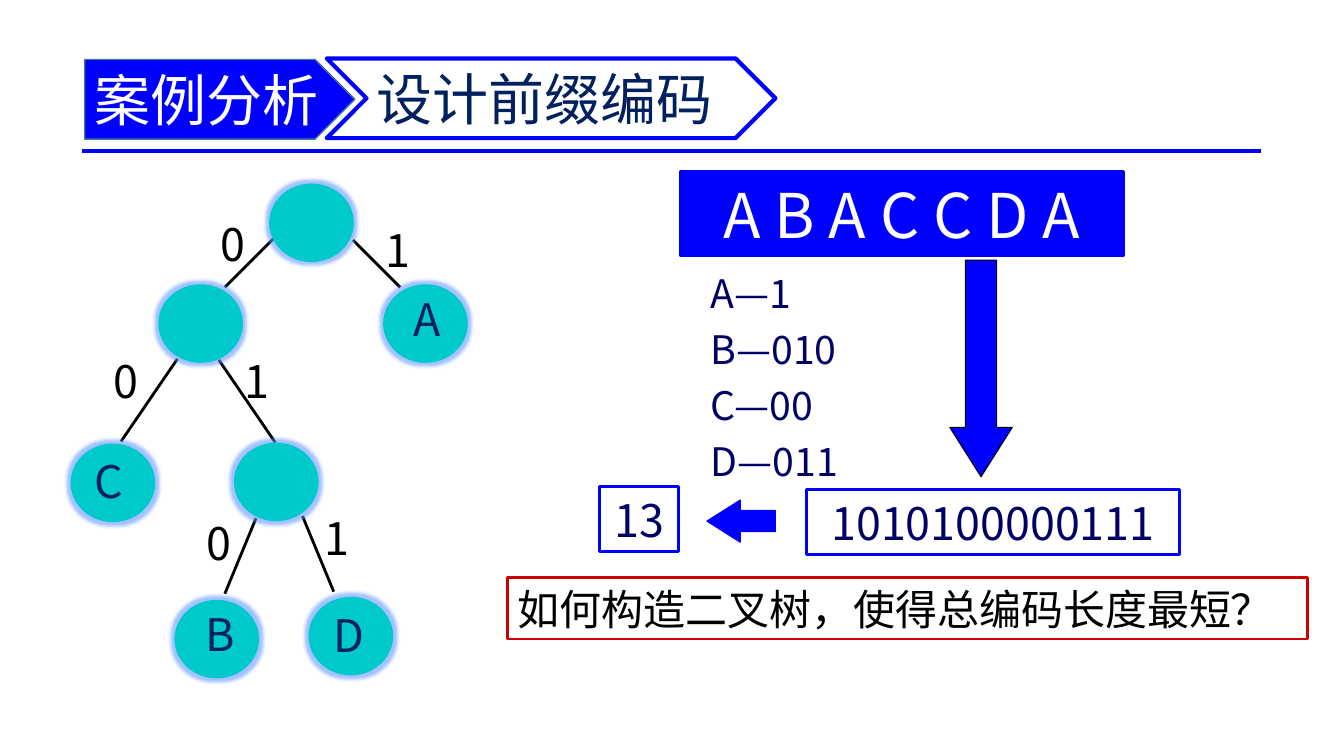
from lxml import etree
from pptx import Presentation
from pptx.dml.color import RGBColor
from pptx.enum.shapes import MSO_CONNECTOR, MSO_SHAPE
from pptx.enum.text import MSO_ANCHOR, PP_ALIGN
from pptx.oxml.ns import qn
from pptx.util import Inches, Pt

STRAIGHT = MSO_CONNECTOR.STRAIGHT
RECTANGLE, OVAL = MSO_SHAPE.RECTANGLE, MSO_SHAPE.OVAL
PENTAGON, CHEVRON = MSO_SHAPE.PENTAGON, MSO_SHAPE.CHEVRON
DOWN_ARROW = MSO_SHAPE.DOWN_ARROW
LEFT, CENTER = PP_ALIGN.LEFT, PP_ALIGN.CENTER
TOP, MIDDLE = MSO_ANCHOR.TOP, MSO_ANCHOR.MIDDLE

BLUE = RGBColor(0x00, 0x00, 0xFF)
NAVY = RGBColor(0x00, 0x20, 0x60)
INDIGO = RGBColor(0x00, 0x00, 0x66)
TEAL = RGBColor(0x00, 0xC9, 0xCB)
STEEL = RGBColor(0x43, 0x73, 0x9E)
RED = RGBColor(0xCC, 0x00, 0x00)
BLACK = RGBColor(0x00, 0x00, 0x00)
WHITE = RGBColor(0xFF, 0xFF, 0xFF)
GLOW = "6699FF"

FONT = "Noto Sans CJK SC"
CELL = Inches(0.1)  # grid of 133.3 columns and 75 rows
NODE_WIDTH, NODE_HEIGHT = 8.4, 7.8
LINE_HEIGHT = 6.4

# Left and top of each node
NODES = [(26.7, 18.2), (15.7, 28.2), (38, 28.2), (7, 44),
         (23.2, 43.9), (30.6, 59.2), (17.3, 59.5)]
# Letter, left, top, width, alignment
LETTERS = [("A", 38.4, 28.4, 8, CENTER), ("C", 8.4, 44.5, 9.4, LEFT),
           ("D", 32.1, 59.8, 9.4, LEFT), ("B", 19.4, 59.7, 9.4, LEFT)]
# Start, end, bit, left and top of the bit
BRANCHES = [
    ((27.1, 23.7), (22.3, 28.5), "0", (20.9, 21)),
    ((35, 23.8), (39.7, 28.5), "1", (37.2, 21.6)),
    ((17.6, 35.6), (12, 43.8), "0", (10.3, 34.6)),
    ((21.7, 35.7), (27.3, 43.9), "1", (23.3, 34.6)),
    ((25.4, 51.4), (22.3, 58.9), "0", (19.5, 50.6)),
    ((30, 51.2), (33.1, 58.7), "1", (31.2, 50.1)),
]


def grid(*lengths):
    return [round(length * CELL) for length in lengths]


def write(box, lines, size, color, align=LEFT, anchor=MIDDLE, spacing=None):
    frame = box.text_frame
    frame.word_wrap = True
    frame.vertical_anchor = anchor
    frame.margin_left, frame.margin_right = Inches(0.1), 0
    frame.margin_top = frame.margin_bottom = Inches(0.05) if anchor == TOP else 0
    if align == CENTER:
        frame.margin_right = Inches(0.1)
    frame.text = "\n".join(lines)
    for para in frame.paragraphs:
        para.alignment = align
        para.line_spacing = spacing
        for span in para.runs:
            font = span.font
            font.size, font.name, font.color.rgb = Pt(size), FONT, color
            east_asian = etree.SubElement(font._element, qn("a:ea"))
            east_asian.set("typeface", FONT)


def add_label(page, area, lines, size, color, **layout):
    write(page.shapes.add_textbox(*grid(*area)), lines, size, color, **layout)


def add_figure(page, kind, area, fill=None, line=None, weight=0):
    figure = page.shapes.add_shape(kind, *grid(*area))
    figure.shadow.inherit = False
    if fill is None:
        figure.fill.background()
    else:
        figure.fill.solid()
        figure.fill.fore_color.rgb = fill
    if line is None:
        figure.line.fill.background()
    else:
        figure.line.color.rgb = line
        figure.line.width = Pt(weight)
    return figure


def add_line(page, start, end, color, weight):
    line = page.shapes.add_connector(STRAIGHT, *grid(*start, *end))
    line.line.color.rgb = color
    line.line.width = Pt(weight)
    etree.SubElement(line._element.spPr, qn("a:effectLst"))


def add_arrow(page, area, line, rotation=0):
    arrow = add_figure(page, DOWN_ARROW, area, BLUE, line, 0.75)
    arrow.adjustments[0], arrow.adjustments[1] = 0.5, 0.79
    arrow.rotation = rotation


def add_node(page, left, top):
    node = add_figure(page, OVAL, (left, top, NODE_WIDTH, NODE_HEIGHT), TEAL)
    effects = node._element.spPr.find(qn("a:effectLst"))
    glow = etree.SubElement(effects, qn("a:glow"), rad=str(Pt(5)))
    color = etree.SubElement(glow, qn("a:srgbClr"), val=GLOW)
    etree.SubElement(color, qn("a:alpha"), val="60000")


def add_heading(page):
    add_line(page, (8.1, 15), (125.1, 15), BLUE, 3)
    tag = add_figure(page, PENTAGON, (8.4, 5.9, 26.8, 7.9), BLUE, STEEL, 1)
    write(tag, ["案例分析"], 40, WHITE)
    title = add_figure(page, CHEVRON, (32.4, 5.8, 44.5, 7.9), WHITE, BLUE, 3)
    write(title, ["设计前缀编码"], 40, NAVY)


def add_tree(page):
    for start, end, bit, corner in BRANCHES:
        add_line(page, start, end, BLACK, 2)
        add_label(page, (*corner, 2.9, LINE_HEIGHT), [bit], 32, BLACK)
    for corner in NODES:
        add_node(page, *corner)
    for letter, left, top, width, align in LETTERS:
        add_label(page, (left, top, width, LINE_HEIGHT), [letter], 32, NAVY,
                  align=align)


def add_encoding(page):
    add_label(page, (69.5, 25.3, 18.3, 23), ["A—1", "B—010", "C—00", "D—011"],
              28, INDIGO, anchor=TOP, spacing=Pt(40))
    add_arrow(page, (94.2, 25.8, 6.2, 21.5), BLACK)
    add_arrow(page, (71.4, 48.3, 4.2, 6.8), BLUE, rotation=90)
    message = add_figure(page, RECTANGLE, (67.5, 17, 43.9, 8.4), BLUE, BLUE, 2)
    write(message, ["A B A C C D A"], 44, WHITE, CENTER)
    code = add_figure(page, RECTANGLE, (80, 48.6, 37, LINE_HEIGHT), None, BLUE, 2.25)
    write(code, ["1010100000111"], 32, INDIGO, CENTER)
    total = add_figure(page, RECTANGLE, (59.5, 48.3, 7.8, LINE_HEIGHT), None, BLUE, 2.25)
    write(total, ["13"], 32, INDIGO, CENTER)
    question = add_figure(page, RECTANGLE, (50.3, 57.3, 79.4, 6.1), None, RED, 2)
    write(question, ["如何构造二叉树，使得总编码长度最短？"], 30, BLACK)


def main():
    deck = Presentation()
    deck.slide_width, deck.slide_height = Inches(13.33), Inches(7.5)
    page = deck.slides.add_slide(deck.slide_layouts[6])
    add_heading(page)
    add_tree(page)
    add_encoding(page)
    deck.save("out.pptx")


if __name__ == "__main__":
    main()
